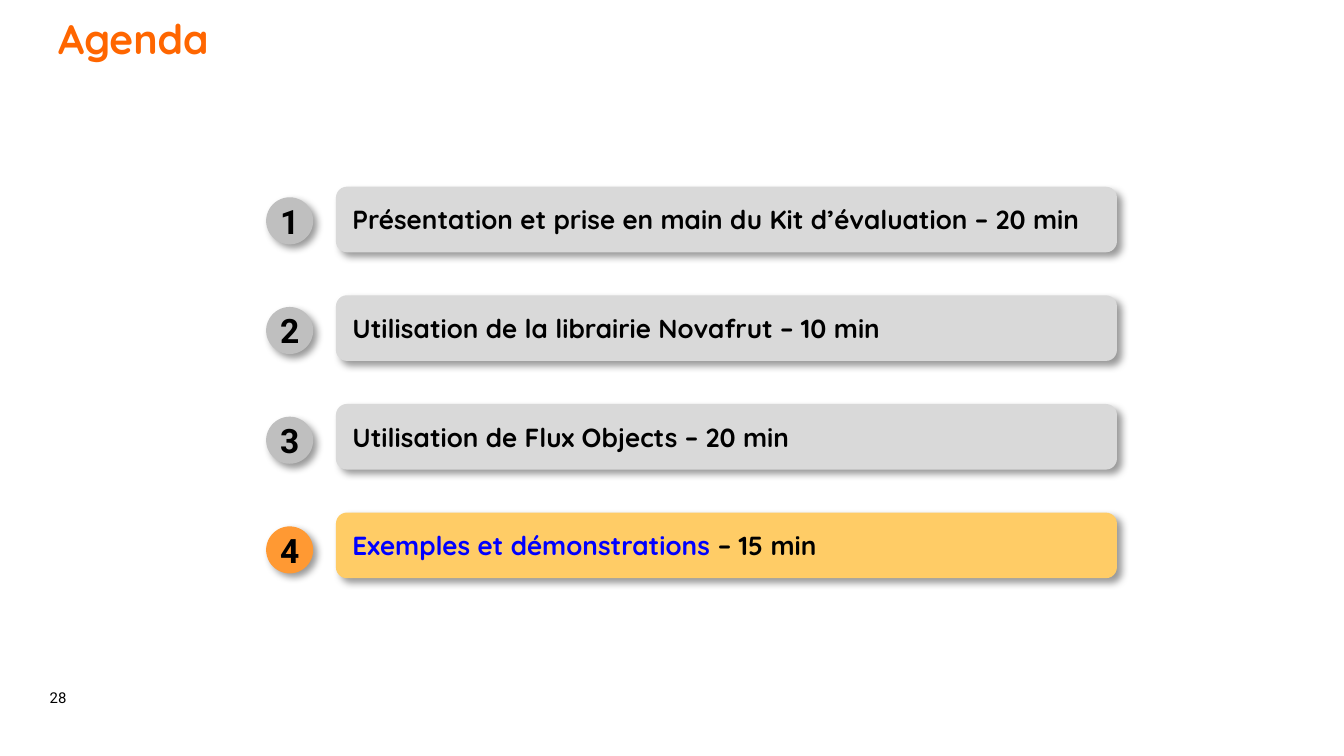
from lxml import etree
from pptx import Presentation
from pptx.dml.color import RGBColor
from pptx.enum.shapes import MSO_SHAPE
from pptx.enum.text import MSO_ANCHOR, MSO_AUTO_SIZE, PP_ALIGN
from pptx.oxml import parse_xml
from pptx.util import Cm, Pt

OVAL, ROUNDED = MSO_SHAPE.OVAL, MSO_SHAPE.ROUNDED_RECTANGLE
TOP, MIDDLE, BOTTOM = MSO_ANCHOR.TOP, MSO_ANCHOR.MIDDLE, MSO_ANCHOR.BOTTOM
LEFT, CENTER = PP_ALIGN.LEFT, PP_ALIGN.CENTER
NO_AUTOFIT = MSO_AUTO_SIZE.NONE
TITLE_ONLY = 5
HEADING_FONT, NUMBER_FONT = "Quicksand", "Roboto"
BLACK, BLUE, ORANGE = "000000", "0000FF", "FF6600"
IDLE_COLOURS = ("BFBFBF", "D9D9D9")
ACTIVE_COLOURS = ("FF9933", "FFCC66")

AGENDA = [
    ([("Présentation et prise en main du Kit d’évaluation – 20 min", BLACK)], IDLE_COLOURS),
    ([("Utilisation de la librairie Novafrut – 10 min", BLACK)], IDLE_COLOURS),
    ([("Utilisation de Flux Objects – 20 min", BLACK)], IDLE_COLOURS),
    ([("Exemples et démonstrations ", BLUE), ("– 15 min", BLACK)], ACTIVE_COLOURS),
]

SHADOW = (
    '<a:effectLst xmlns:a="http://schemas.openxmlformats.org/drawingml/2006/main">'
    '<a:outerShdw blurRad="50800" dist="38100" dir="2700000" algn="tl" rotWithShape="0">'
    '<a:srgbClr val="000000"><a:alpha val="40000"/></a:srgbClr>'
    '</a:outerShdw></a:effectLst>'
)


def colour(value):
    return RGBColor.from_string(value)


def place(shape, box):
    shape.left, shape.top, shape.width, shape.height = (Cm(length) for length in box)


def write(shape, spans, font, size, bold=True, align=LEFT, anchor=MIDDLE, inset=0):
    frame = shape.text_frame
    frame.word_wrap = True
    frame.auto_size = NO_AUTOFIT
    frame.vertical_anchor = anchor
    frame.margin_left = frame.margin_right = Cm(inset)
    frame.margin_top = frame.margin_bottom = Cm(0)
    para = frame.paragraphs[0]
    para.alignment = align
    for text, text_colour in spans:
        span = para.add_run()
        span.text = text
        span.font.name = font
        span.font.size = Pt(size)
        span.font.bold = bold
        span.font.color.rgb = colour(text_colour)
    return para


def add_raised_shape(page, kind, box, fill):
    shape = page.shapes.add_shape(kind, *(Cm(length) for length in box))
    shape.fill.solid()
    shape.fill.fore_color.rgb = colour(fill)
    shape.line.fill.background()
    shape.shadow.inherit = False
    properties = shape.element.spPr
    for effects in properties.findall("{*}effectLst"):
        properties.replace(effects, parse_xml(etree.tostring(etree.fromstring(SHADOW))))
    return shape


def add_title(page, box):
    title = page.shapes.title
    place(title, box)
    para = write(title, [("Agenda", ORANGE)], HEADING_FONT, 22, anchor=TOP)
    para.line_spacing = 1.0
    para.space_before = Pt(0)


def add_agenda(page, box):
    left, top, width, height = box
    badge_size, bar_height, bar_offset = 0.89, 1.24, 1.32
    badge_inset = 0.2
    bar_pitch = (height - bar_height) / (len(AGENDA) - 1)
    badge_pitch = bar_pitch + 0.02
    for index, (spans, (badge_fill, bar_fill)) in enumerate(AGENDA):
        badge_top = top + badge_inset + index * badge_pitch
        badge_box = (left, badge_top, badge_size, badge_size)
        badge = add_raised_shape(page, OVAL, badge_box, badge_fill)
        write(badge, [(str(index + 1), BLACK)], NUMBER_FONT, 18, align=CENTER)

        bar_box = (left + bar_offset, top + index * bar_pitch, width - bar_offset, bar_height)
        bar = add_raised_shape(page, ROUNDED, bar_box, bar_fill)
        write(bar, spans, HEADING_FONT, 14, inset=0.25)


def add_page_number(page, box):
    number = page.shapes.add_textbox(*(Cm(length) for length in box))
    para = write(number, [("28", BLACK)], NUMBER_FONT, 8, bold=False, anchor=BOTTOM)
    para.line_spacing = 0.85


def main():
    deck = Presentation()
    deck.slide_width, deck.slide_height = Cm(25.4), Cm(14.29)
    page = deck.slides.add_slide(deck.slide_layouts[TITLE_ONLY])
    add_page_number(page, (0.94, 12.42, 0.76, 0.94))
    add_title(page, (1.1, 0.25, 24.2, 1.2))
    add_agenda(page, (5.03, 3.53, 16.08, 7.4))
    deck.save("out.pptx")


if __name__ == "__main__":
    main()
